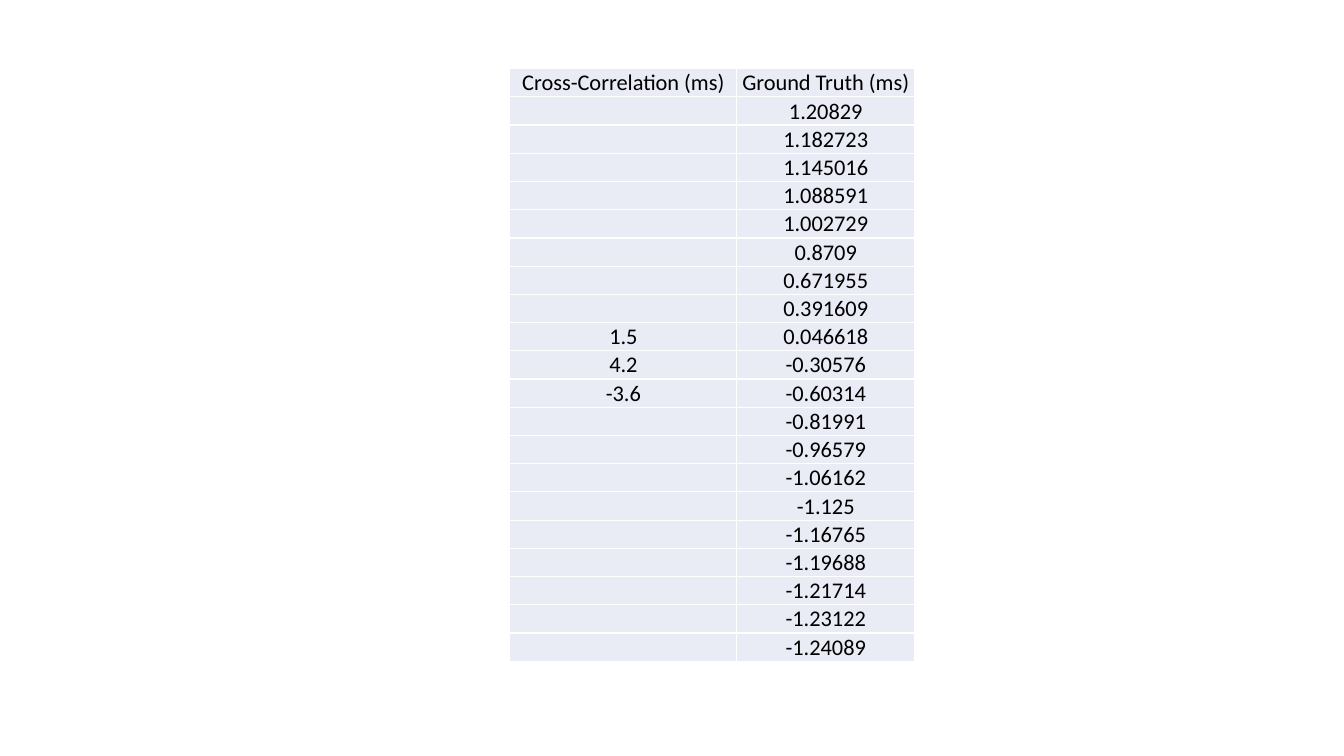
from typing import NamedTuple

from lxml.etree import SubElement
from pptx import Presentation
from pptx.dml.color import RGBColor
from pptx.enum.text import MSO_ANCHOR as Anchor, PP_ALIGN as Align
from pptx.oxml.ns import qn
from pptx.table import _Cell as Cell
from pptx.util import Cm, Pt

BLACK = RGBColor(0x00, 0x00, 0x00)
PALE_BLUE = RGBColor(0xE9, 0xEB, 0xF5)
FONT_SIZE = Pt(16)
ROW_HEIGHT = Cm(0.7)
INSET = Cm(0.02)


class Delay(NamedTuple):
    ground_truth: str
    cross_correlation: str = ""


class Column(NamedTuple):
    heading: str
    field: str
    width: Cm


COLUMNS = [
    Column("Cross-Correlation (ms)", "cross_correlation", Cm(5.72)),
    Column("Ground Truth (ms)", "ground_truth", Cm(4.48)),
]

DELAYS = [
    Delay("1.20829"),
    Delay("1.182723"),
    Delay("1.145016"),
    Delay("1.088591"),
    Delay("1.002729"),
    Delay("0.8709"),
    Delay("0.671955"),
    Delay("0.391609"),
    Delay("0.046618", "1.5"),
    Delay("-0.30576", "4.2"),
    Delay("-0.60314", "-3.6"),
    Delay("-0.81991"),
    Delay("-0.96579"),
    Delay("-1.06162"),
    Delay("-1.125"),
    Delay("-1.16765"),
    Delay("-1.19688"),
    Delay("-1.21714"),
    Delay("-1.23122"),
    Delay("-1.24089"),
]


def fill_cell(cell: Cell, text: str) -> None:
    cell.fill.solid()
    cell.fill.fore_color.rgb = PALE_BLUE
    cell.vertical_anchor = Anchor.BOTTOM
    cell.margin_left = cell.margin_right = cell.margin_top = INSET
    cell.margin_bottom = 0
    cell.text = text
    p = cell.text_frame.paragraphs[0]
    p.alignment = Align.CENTER
    p.font.name = "Calibri"
    p.font.size = FONT_SIZE
    p.font.color.rgb = BLACK
    if not text:
        SubElement(p._p, qn("a:endParaRPr"), sz=str(int(FONT_SIZE.pt * 100)))


prs = Presentation()
prs.slide_width, prs.slide_height = Cm(33.87), Cm(19.05)
s = prs.slides.add_slide(prs.slide_layouts[6])

row_count = len(DELAYS) + 1
table = s.shapes.add_table(
    row_count, len(COLUMNS), Cm(12.85), Cm(1.73),
    sum(column.width for column in COLUMNS), ROW_HEIGHT * row_count,
).table
table.first_row = False
table.horz_banding = False
for row in table.rows:
    row.height = ROW_HEIGHT

for c, column in enumerate(COLUMNS):
    table.columns[c].width = column.width
    texts = [column.heading] + [getattr(delay, column.field) for delay in DELAYS]
    for r, text in enumerate(texts):
        fill_cell(table.cell(r, c), text)

prs.save("out.pptx")
